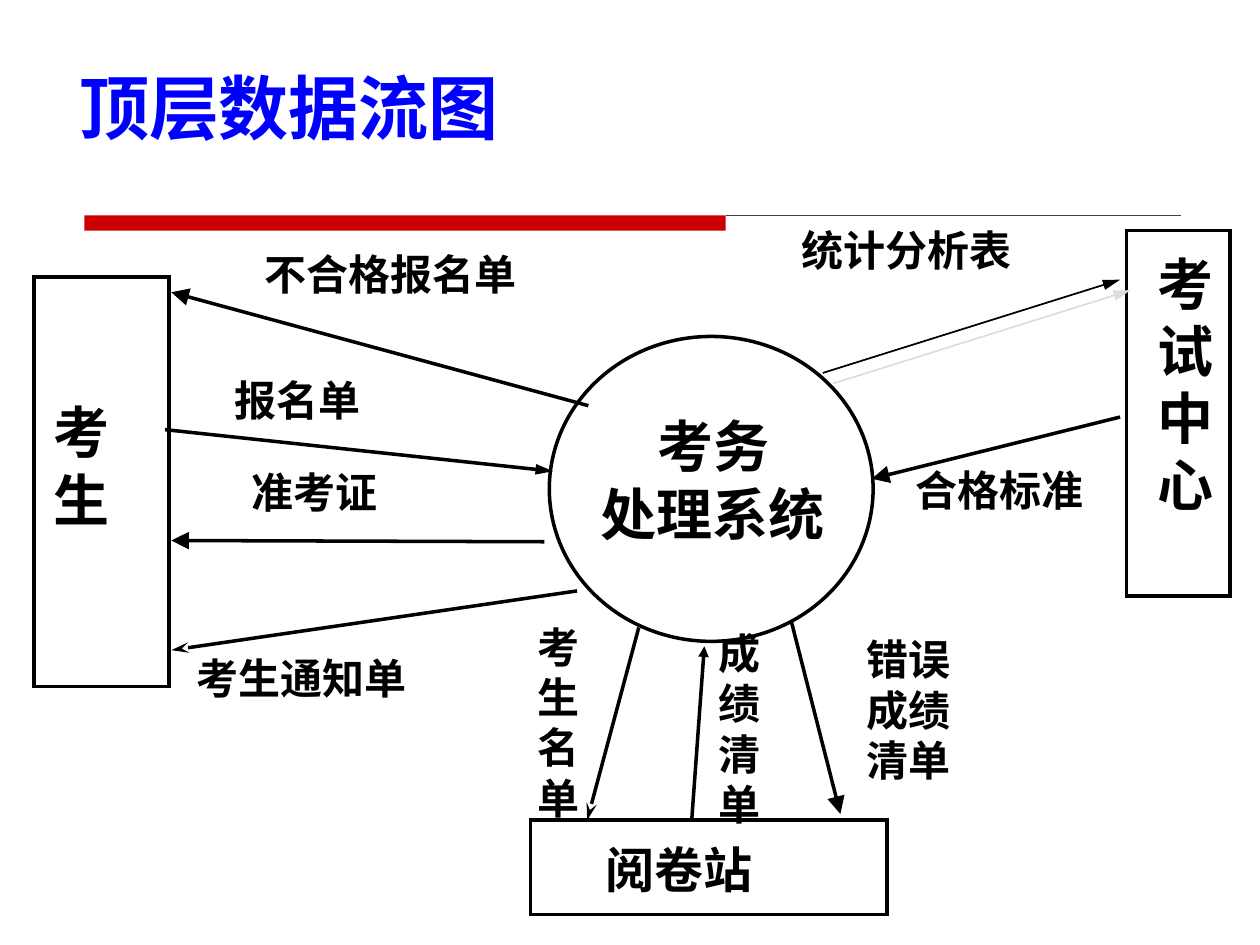
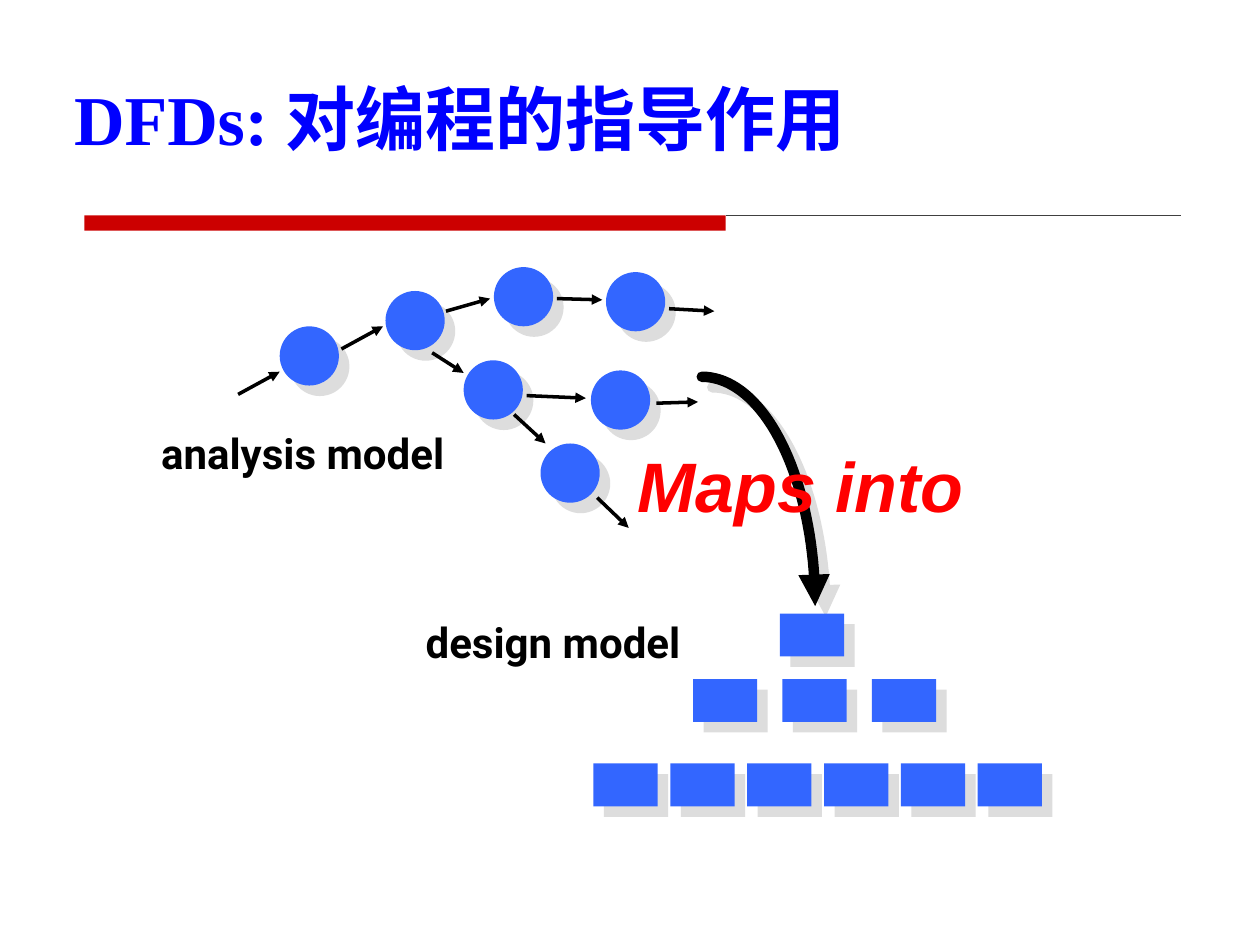
"""Build two slides on data flow diagrams: an exam system and its mapping to design."""
import math

import lxml.etree
import pptx
import pptx.dml.color
import pptx.enum.shapes
import pptx.enum.text
import pptx.oxml.ns
import pptx.util

BLACK, WHITE, RED, BLUE = "000000", "FFFFFF", "CC0000", "3366FF"
SHADE, RULE = "DDDDDD", "404040"
CHINESE = "Noto Sans CJK SC"
RECT = pptx.enum.shapes.MSO_SHAPE.RECTANGLE
OVAL = pptx.enum.shapes.MSO_SHAPE.OVAL

TITLE = {"size": 40, "name": CHINESE, "color": "0000FF", "bold": True}
LATIN_TITLE = {**TITLE, "name": "Times New Roman"}
LABEL = {"size": 24, "name": CHINESE, "color": BLACK, "bold": True}
ENTITY = {**LABEL, "size": 32}
STATION = {**LABEL, "size": 28}
MODEL = {**LABEL, "name": "Roboto"}
MAPS = {"size": 40, "name": "Arial", "color": "FF0000", "bold": True, "italic": True}

EXAM_TITLE = [("顶层数据流图", TITLE)]
EXAM_NODES = [
    (RECT, (0.27, 2.2, 1.07, 3.25), WHITE),
    (OVAL, (4.36, 2.67, 2.57, 2.42), None),
    (RECT, (8.94, 1.83, 0.82, 2.9), None),
    (RECT, (4.21, 6.51, 2.83, 0.75), WHITE),
]
EXAM_NAMES = [
    (["考", "生"], (0.33, 3.11, 0.93, 1.17), ENTITY, "LEFT"),
    (["考务", "处理系统"], (4.41, 3.22, 2.5, 1.17), ENTITY, "CENTER"),
    (["考", "试", "中", "心"], (9.09, 1.93, 0.92, 2.23), ENTITY, "LEFT"),
    (["阅卷站"], (4.71, 6.61, 2.08, 0.57), STATION, "LEFT"),
]
EXAM_FLOWS = [
    ((4.67, 3.22), (1.36, 2.32), "triangle", "lg", "lg"),
    ((1.31, 3.41), (4.39, 3.74), "triangle", "med", "lg"),
    ((4.32, 4.3), (1.36, 4.29), "triangle", "lg", "lg"),
    ((5.07, 4.98), (4.66, 6.51), "stealth", "med", "lg"),
    ((4.58, 4.69), (1.36, 5.16), "stealth", "med", "lg"),
    ((8.89, 3.31), (6.92, 3.8), "triangle", "lg", "lg"),
    ((5.49, 6.51), (5.59, 5.13), "triangle", "med", "med"),
    ((6.28, 4.93), (6.67, 6.46), "triangle", "lg", "lg"),
]
STATISTICS_FLOW = ((6.53, 2.96), (8.89, 2.22), "triangle", "med", "lg")
EXAM_LABELS = [
    (["不合格报名单"], (2, 1.92, 3.08, 0.5)),
    (["报名单"], (1.76, 2.92, 2.25, 0.5)),
    (["准考证"], (1.9, 3.65, 2, 0.5)),
    (["考生通知单"], (1.46, 5.13, 2.75, 0.5)),
    (["成", "绩", "清", "单"], (5.6, 4.93, 0.75, 1.7)),
    (["合格标准"], (7.17, 3.64, 2.33, 0.5)),
    (["错误成绩", "清单"], (6.78, 4.98, 1.08, 1.3)),
    (["考生名", "单"], (4.17, 4.88, 0.75, 1.7)),
    (["统计分析表"], (6.26, 1.73, 2.58, 0.5)),
]

MAPPING_TITLE = [("DFDs: ", LATIN_TITLE), ("对编程的指导作用", TITLE)]
BUBBLE = 0.47
BUBBLES = [(2.22, 2.59), (3.06, 2.31), (3.92, 2.12), (3.68, 2.86),
           (4.29, 3.52), (4.81, 2.16), (4.69, 2.94)]
BUBBLE_FLOWS = [
    ((1.89, 3.13), (2.22, 2.95)), ((2.71, 2.77), (3.04, 2.59)),
    ((3.54, 2.47), (3.89, 2.37)), ((4.42, 2.37), (4.78, 2.38)),
    ((5.31, 2.45), (5.67, 2.47)), ((3.43, 2.8), (3.68, 2.96)),
    ((4.08, 3.29), (4.33, 3.52)), ((4.74, 3.95), (4.99, 4.19)),
    ((5.21, 3.2), (5.54, 3.19)), ((4.18, 3.14), (4.65, 3.16)),
]
MODULE = (0.51, 0.34)
MODULE_ROWS = [(6.19, 4.87, 1, 0), (5.5, 5.39, 3, 0.71), (4.71, 6.06, 6, 0.61)]
MODEL_LABELS = [
    ("analysis model", (1.18, 3.34, 2.58, 0.5)),
    ("design model", (3.28, 4.84, 2.34, 0.5)),
]
CURVE_CENTRE, CURVE_RADII, CURVE_STEPS = (5.57, 4.81), (0.9, 1.82), 40


def length(inches):
    """Turn inches into a length."""
    return pptx.util.Cm(inches * 2.54)


def lengths(values):
    """Turn several inches into lengths."""
    return [length(value) for value in values]


def color(code):
    """Turn a hex string into a colour."""
    return pptx.dml.color.RGBColor.from_string(code)


def add_xml(parent, tag, **attributes):
    """Append a drawing element with its attributes."""
    child = lxml.etree.SubElement(parent, pptx.oxml.ns.qn(tag))
    for name, value in attributes.items():
        child.set(name, str(value))
    return child


def set_line(item, points, code=BLACK):
    """Give a shape or connector a line."""
    item.line.color.rgb = color(code)
    item.line.width = pptx.util.Pt(points)


def set_arrow(item, kind, width, size):
    """Put an arrowhead at the end of a line."""
    add_xml(item.line._get_or_add_ln(), "a:tailEnd", type=kind, w=width, len=size)


def set_shadow(item, shown):
    """Replace the theme shadow with a hard offset one or with none."""
    effects = add_xml(item._element.spPr, "a:effectLst")
    if shown:
        shadow = add_xml(effects, "a:outerShdw", blurRad=0, dist=int(pptx.util.Pt(8.5)),
                         dir=45 * 60000, algn="ctr", rotWithShape=0)
        add_xml(shadow, "a:srgbClr", val=SHADE)


def add_node(page, kind, frame, fill, outline=None, shadow=False):
    """Add a preset shape."""
    node = page.shapes.add_shape(kind, *lengths(frame))
    if fill:
        node.fill.solid()
        node.fill.fore_color.rgb = color(fill)
    else:
        node.fill.background()
    if outline:
        set_line(node, outline)
        add_xml(node.line._get_or_add_ln(), "a:miter", lim=800000)
    else:
        node.line.fill.background()
    set_shadow(node, shadow)


def add_flow(page, start, end, kind=None, width="med", size="med", points=2,
             code=BLACK, shadow=False):
    """Add a straight line, with an arrowhead if a kind is given."""
    straight = pptx.enum.shapes.MSO_CONNECTOR.STRAIGHT
    flow = page.shapes.add_connector(straight, *lengths(start + end))
    set_line(flow, points, code)
    if kind:
        set_arrow(flow, kind, width, size)
    set_shadow(flow, shadow)


def add_text(page, frame, lines, align="LEFT", anchor="TOP", wrap=True, grow=True):
    """Add a text box from lines, each a list of text and format pairs."""
    box = page.shapes.add_textbox(*lengths(frame))
    text = box.text_frame
    text.word_wrap = wrap
    text.vertical_anchor = getattr(pptx.enum.text.MSO_ANCHOR, anchor)
    if grow:
        text.auto_size = pptx.enum.text.MSO_AUTO_SIZE.SHAPE_TO_FIT_TEXT
    for index, spans in enumerate(lines):
        para = text.add_paragraph() if index else text.paragraphs[0]
        para.alignment = getattr(pptx.enum.text.PP_ALIGN, align)
        for words, style in spans:
            span = para.add_run()
            span.text = words
            format_span(span, style)


def format_span(span, style):
    """Apply a dict of format values to a run."""
    for name, value in style.items():
        if name == "color":
            span.font.color.rgb = color(value)
        else:
            setattr(span.font, name, pptx.util.Pt(value) if name == "size" else value)
    add_xml(span._r.get_or_add_rPr(), "a:ea", typeface=style["name"])


def add_page(deck, title, frame):
    """Add a blank page with the title and the red band."""
    page = deck.slides.add_slide(deck.slide_layouts[6])
    add_node(page, RECT, (0.67, 1.71, 5.09, 0.12), RED)
    add_flow(page, (5.76, 1.71), (9.37, 1.71), points=0.75, code=RULE)
    add_text(page, frame, [title], anchor="MIDDLE", grow=False)
    return page


def add_curve(page):
    """Add the heavy quarter-ellipse arrow."""
    points = []
    for step in range(CURVE_STEPS + 1):
        angle = math.pi / 2 * step / CURVE_STEPS
        points.append(lengths((CURVE_CENTRE[0] + CURVE_RADII[0] * math.sin(angle),
                               CURVE_CENTRE[1] - CURVE_RADII[1] * math.cos(angle))))
    builder = page.shapes.build_freeform(*points[0])
    builder.add_line_segments(points[1:], close=False)
    curve = builder.convert_to_shape()
    curve.fill.background()
    set_line(curve, 6)
    curve.line._get_or_add_ln().set("cap", "rnd")
    add_xml(curve.line._get_or_add_ln(), "a:round")
    set_arrow(curve, "triangle", "med", "med")
    set_shadow(curve, True)


def build_exam(deck):
    """Build the top-level data flow diagram."""
    page = add_page(deck, EXAM_TITLE, (0.53, 0.5, 5.33, 0.69))
    for kind, frame, fill in EXAM_NODES:
        add_node(page, kind, frame, fill, outline=2)
    for lines, frame, style, align in EXAM_NAMES:
        add_text(page, frame, [[(line, style)] for line in lines], align)
    for flow in EXAM_FLOWS:
        add_flow(page, *flow)
    add_flow(page, *STATISTICS_FLOW, points=1, shadow=True)
    for lines, frame in EXAM_LABELS:
        add_text(page, frame, [[(line, LABEL)] for line in lines])


def build_mapping(deck):
    """Build the mapping from analysis model to design model."""
    page = add_page(deck, MAPPING_TITLE, (0.49, 0.4, 9.63, 1.06))
    add_curve(page)
    add_text(page, (4.96, 3.46, 2.79, 0.76), [[("Maps into", MAPS)]], wrap=False)
    for place in BUBBLES:
        add_node(page, OVAL, place + (BUBBLE, BUBBLE), BLUE, shadow=True)
    for start, end in BUBBLE_FLOWS:
        add_flow(page, start, end, "triangle")
    for left, top, count, pitch in MODULE_ROWS:
        for column in range(count):
            add_node(page, RECT, (left + column * pitch, top) + MODULE, BLUE, shadow=True)
    for words, frame in MODEL_LABELS:
        add_text(page, frame, [[(words, MODEL)]], wrap=False)


def main():
    """Build and save the deck."""
    deck = pptx.Presentation()
    deck.slide_width, deck.slide_height = lengths((10, 7.5))
    build_exam(deck)
    build_mapping(deck)
    deck.save("out.pptx")


if __name__ == "__main__":
    main()
